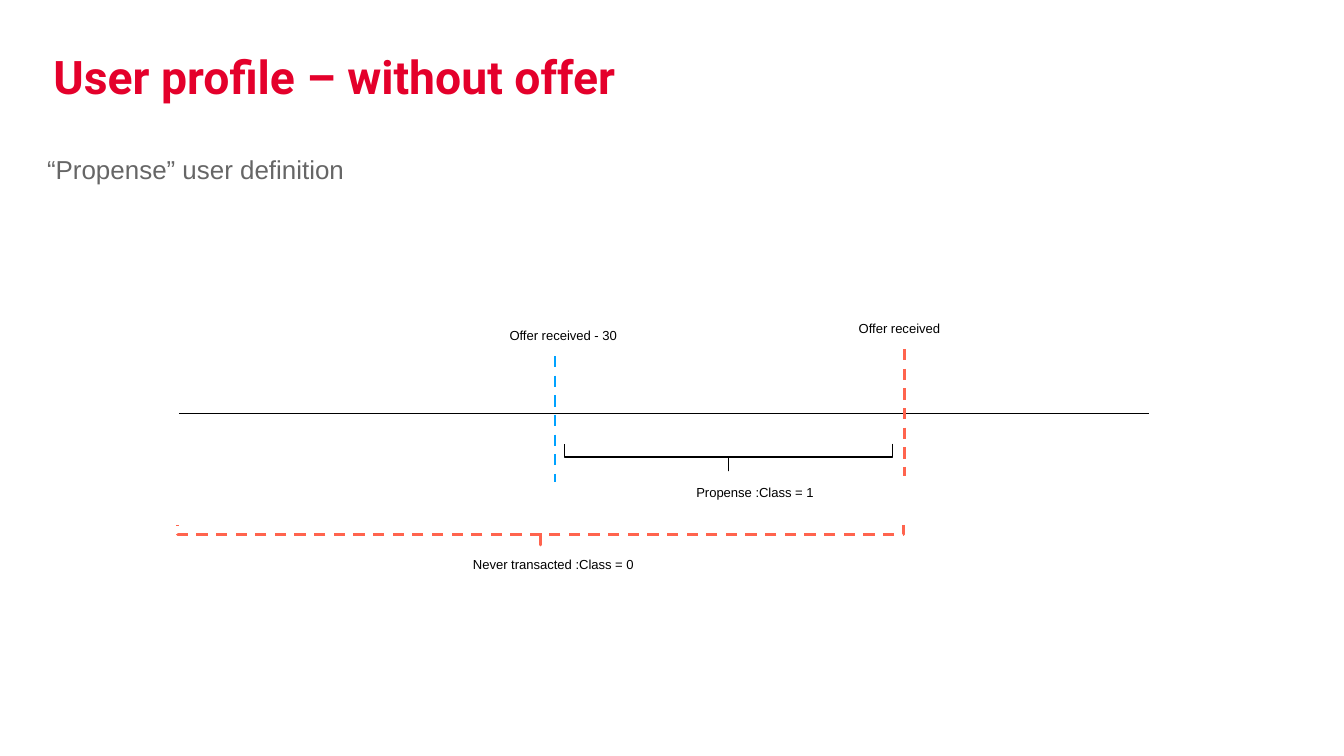
from lxml import etree
from pptx import Presentation
from pptx.dml.color import RGBColor
from pptx.enum import dml, shapes, text
from pptx.oxml.ns import qn
from pptx.util import Cm, Pt

RED = RGBColor(0xE4, 0x00, 0x2B)
CORAL = RGBColor(0xFF, 0x64, 0x4E)
BLUE = RGBColor(0x00, 0xA2, 0xFF)
GREY = RGBColor(0x66, 0x66, 0x66)
BLACK = RGBColor(0x00, 0x00, 0x00)


def add_text(content, left, top, width, height, size, color,
             font="Arial", bold=False, inset=0.13, spacing=1.15):
    box = page.shapes.add_textbox(Cm(left), Cm(top), Cm(width), Cm(height))
    frame = box.text_frame
    frame.word_wrap = True
    frame.auto_size = text.MSO_AUTO_SIZE.SHAPE_TO_FIT_TEXT
    frame.margin_left = frame.margin_right = Cm(inset)
    frame.margin_top = frame.margin_bottom = Cm(inset)
    frame.text = content
    para = frame.paragraphs[0]
    para.line_spacing = spacing
    span = para.runs[0]
    span.font.name = font
    span.font.size = Pt(size)
    span.font.bold = bold
    span.font.color.rgb = color


def style_line(line, color, width, dashed):
    line.color.rgb = color
    line.width = Pt(width)
    if dashed:
        line.dash_style = dml.MSO_LINE.DASH


deck = Presentation()
deck.slide_width = Cm(25.4)
deck.slide_height = Cm(14.29)
page = deck.slides.add_slide(deck.slide_layouts[6])

add_text("User profile – without offer", 0.76, 0.66, 18.92, 1.57, 24.8, RED,
         font="Roboto", bold=True, inset=0.25, spacing=1.0)
add_text("“Propense” user definition", 0.76, 2.69, 6.78, 0.89, 13.9, GREY)

# Time axis and the two date markers
for x1, y1, x2, y2, color, width, dashed in (
    (3.38, 7.82, 21.72, 7.82, BLACK, 0.75, False),
    (17.09, 6.6, 17.09, 8.99, CORAL, 1.5, True),
    (10.49, 6.73, 10.49, 9.12, BLUE, 1.5, True),
):
    connector = page.shapes.add_connector(
        shapes.MSO_CONNECTOR.STRAIGHT, Cm(x1), Cm(y1), Cm(x2), Cm(y2))
    style_line(connector.line, color, width, dashed)
    etree.SubElement(connector._element.spPr, qn("a:effectLst"))

# Square brackets under the axis, turned to open upwards
for left, top, width, height, color, weight, dashed in (
    (13.51, 5.54, 0.51, 6.2, BLACK, 0.75, False),
    (10.03, 3.25, 0.38, 13.72, CORAL, 1.5, True),
):
    bracket = page.shapes.add_shape(
        shapes.MSO_SHAPE.LEFT_BRACE, Cm(left), Cm(top), Cm(width), Cm(height))
    bracket.rotation = 270
    bracket.adjustments[0] = 0
    bracket.adjustments[1] = 0.5
    bracket.shadow.inherit = False
    bracket.fill.background()
    style_line(bracket.line, color, weight, dashed)

for label, left, top, width in (
    ("Offer received", 16.1, 5.89, 1.98),
    ("Offer received - 30", 9.5, 6.02, 2.41),
    ("Propense :Class = 1", 13.03, 8.99, 2.95),
    ("Never transacted :Class = 0", 8.81, 10.34, 4.24),
):
    add_text(label, left, top, width, 0.56, 7, BLACK)

deck.save("out.pptx")
